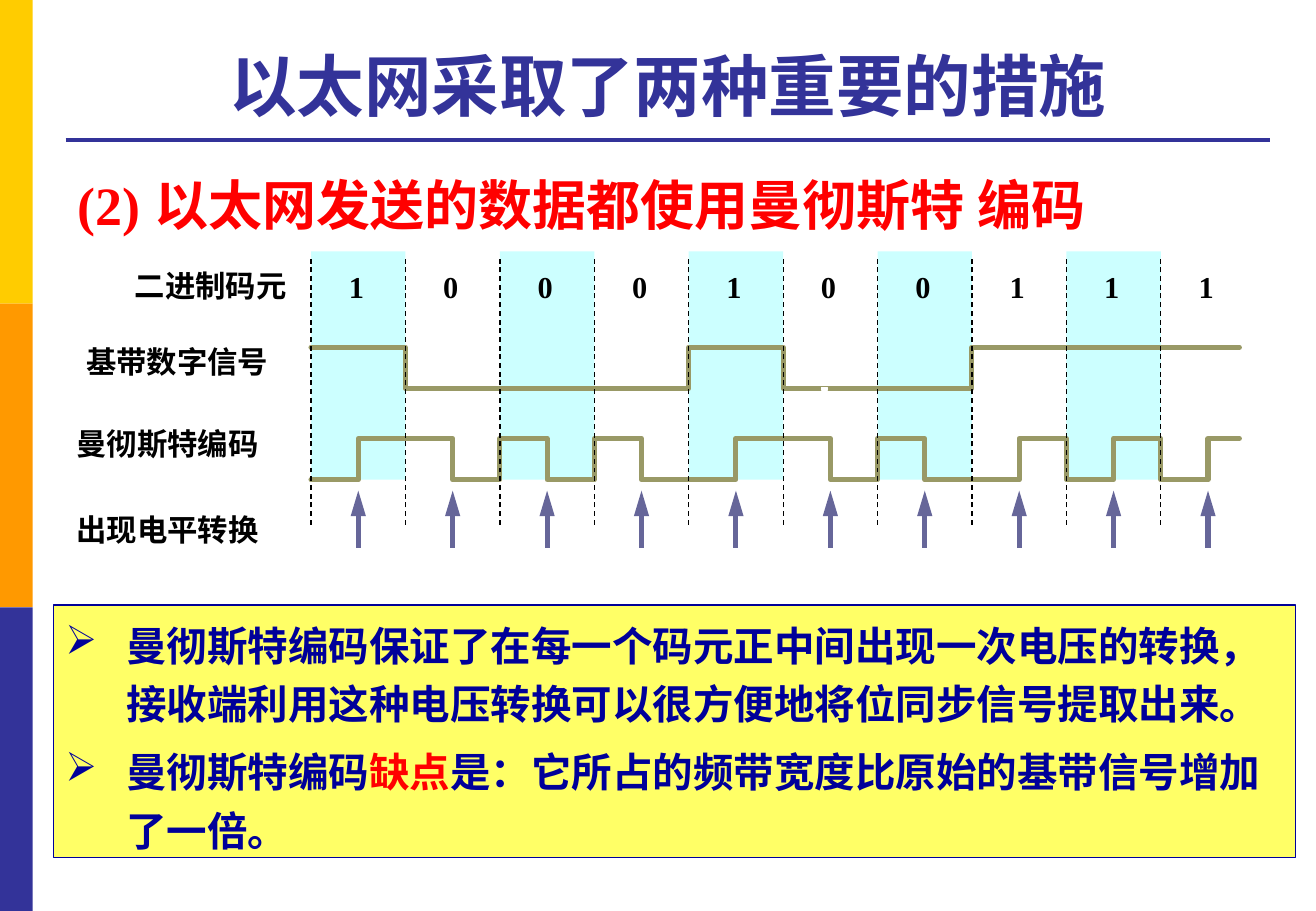
import lxml.etree
import pptx
import pptx.dml.color
import pptx.enum.dml
import pptx.enum.lang
import pptx.enum.shapes
import pptx.enum.text
import pptx.oxml.ns
import pptx.util

Inches = pptx.util.Inches
qn = pptx.oxml.ns.qn

NAVY, RED, BLACK, WHITE = "333399", "FF0000", "000000", "FFFFFF"
INK, SIGNAL = "000099", "999966"
LABEL_FORMAT = {"size": 18, "name": "Times New Roman", "color": BLACK}
BITS = "1000100111"
ROW_LABELS = [("二进制码元", 1.01, 2.15), ("基带数字信号", 0.61, 2.78),
              ("曼彻斯特编码", 0.53, 3.45), ("出现电平转换", 0.53, 4.16)]
NOTES = [
    [("曼彻斯特编码保证了在每一个码元正中间出现一次电压的转换，"
      "接收端利用这种电压转换可以很方便地将位同步信号提取出来。", INK)],
    [("曼彻斯特编码", INK), ("缺点", RED),
     ("是：它所占的频带宽度比原始的基带信号增加了一倍。", INK)],
]


def rgb(value):
    return pptx.dml.color.RGBColor.from_string(value)


def place(shape, left, top, width, height):
    box = {"left": left, "top": top, "width": width, "height": height}
    for name, value in box.items():
        setattr(shape, name, Inches(value))


def add_run(paragraph, text, size, name, color):
    run = paragraph.add_run()
    run.text = text
    values = {"size": pptx.util.Pt(size), "name": name, "bold": True,
              "language_id": pptx.enum.lang.MSO_LANGUAGE_ID.SIMPLIFIED_CHINESE}
    for attribute, value in values.items():
        setattr(run.font, attribute, value)
    run.font.color.rgb = rgb(color)


def set_bullet(paragraph, character=None, indent=0):
    properties = paragraph._p.get_or_add_pPr()
    properties.set("marL", str(Inches(indent)))
    properties.set("indent", str(-Inches(indent)))
    if character:
        bullet = lxml.etree.SubElement(properties, qn("a:buChar"))
        bullet.set("char", character)
    else:
        lxml.etree.SubElement(properties, qn("a:buNone"))


def add_rectangle(slide, left, top, width, height, fill, outline=None):
    shape = slide.shapes.add_shape(
        pptx.enum.shapes.MSO_SHAPE.RECTANGLE,
        Inches(left), Inches(top), Inches(width), Inches(height))
    shape.shadow.inherit = False
    shape.fill.solid()
    shape.fill.fore_color.rgb = rgb(fill)
    if outline:
        shape.line.color.rgb = rgb(outline)
        shape.line.width = pptx.util.Pt(0.75)
    else:
        shape.line.fill.background()
    return shape


def add_line(slide, start, end, color, width):
    line = slide.shapes.add_connector(
        pptx.enum.shapes.MSO_CONNECTOR.STRAIGHT,
        *(Inches(value) for value in (*start, *end)))
    line.line.color.rgb = rgb(color)
    line.line.width = pptx.util.Pt(width)
    lxml.etree.SubElement(line._element.spPr, qn("a:effectLst"))
    return line


def add_label(slide, text, left, top, width, centered=False):
    frame = slide.shapes.add_textbox(
        Inches(left), Inches(top), Inches(width), Inches(0.4)).text_frame
    frame.word_wrap = False
    paragraph = frame.paragraphs[0]
    align = pptx.enum.text.PP_ALIGN
    paragraph.alignment = align.CENTER if centered else align.LEFT
    add_run(paragraph, text, **LABEL_FORMAT)


def add_wave(slide, left, right, levels, step):
    """Draw a square wave that holds each level for one step."""
    points = []
    for index, level in enumerate(levels):
        start = left + index * step
        points += [(start, level), (min(start + step, right), level)]
    points = [(Inches(x), Inches(y)) for x, y in points]
    builder = slide.shapes.build_freeform(*points[0], scale=1.0)
    builder.add_line_segments(points[1:], close=False)
    wave = builder.convert_to_shape()
    wave.shadow.inherit = False
    wave.fill.background()
    wave.line.color.rgb = rgb(SIGNAL)
    wave.line.width = pptx.util.Pt(3)
    wave._element.spPr.find(qn("a:ln")).set("cap", "rnd")


def add_side_band(slide, left, top, width, height):
    for index, color in enumerate(("FFCC00", "FF9900", NAVY)):
        add_rectangle(slide, left, top + index * height / 3, width, height / 3, color)


def add_title(slide, left, top, width, height):
    title = slide.shapes.title
    place(title, left, top, width, height)
    title.text_frame.vertical_anchor = pptx.enum.text.MSO_ANCHOR.BOTTOM
    paragraph = title.text_frame.paragraphs[0]
    paragraph.alignment = pptx.enum.text.PP_ALIGN.CENTER
    add_run(paragraph, "以太网采取了两种重要的措施", 40, "Arial", NAVY)
    rule = top + height + 0.07
    add_line(slide, (left, rule), (left + width, rule), NAVY, 2.25)


def add_heading(slide, left, top, width, height):
    body = slide.placeholders[1]
    place(body, left, top, width, height)
    paragraph = body.text_frame.paragraphs[0]
    paragraph.line_spacing = 1.1
    paragraph.space_before = pptx.util.Pt(0)
    set_bullet(paragraph)
    add_run(paragraph, "(2) 以太网发送的数据都使用曼彻斯特 编码",
            32, "Times New Roman", RED)


def add_encoding_diagram(slide, left, top, width):
    """Draw the bits, both signals and the transition arrows, one column a bit."""
    step = width / len(BITS)
    edges = [left + index * step for index in range(len(BITS))]
    right = left + width - 0.13
    high, low = top + 0.79, top + 1.13
    coded_high, coded_low = top + 1.54, top + 1.88

    for edge in edges[::2]:
        add_rectangle(slide, edge, top, step, 1.88, "CCFFFF")
    for text, label_left, label_top in ROW_LABELS:
        add_label(slide, text, label_left, label_top, 1.73)
    for edge, bit in zip(edges, BITS):
        add_label(slide, bit, edge + step / 2 - 0.18, top + 0.09, 0.33, centered=True)

    baseband = [high if bit == "1" else low for bit in BITS]
    halves = {"1": (coded_low, coded_high), "0": (coded_high, coded_low)}
    manchester = [level for bit in BITS for level in halves[bit]]
    add_wave(slide, left, right, baseband, step)
    add_wave(slide, left, right, manchester, step / 2)
    for edge, before, after in zip(edges[1:], baseband, baseband[1:]):
        if before == after:
            add_line(slide, (edge, after + 0.01), (edge, after - 0.02), SIGNAL, 3)
    add_rectangle(slide, left + 4.2, low - 0.01, 0.05, 0.02, WHITE, WHITE)

    for edge in edges:
        divider = add_line(slide, (edge, top + 2.25), (edge, top + 0.05), BLACK, 0.75)
        divider.line.dash_style = pptx.enum.dml.MSO_LINE.DASH
        middle = edge + step / 2
        arrow = add_line(slide, (middle, top + 2.44), (middle, top + 1.97), "666699", 3)
        head = lxml.etree.SubElement(arrow._element.spPr.find(qn("a:ln")), qn("a:tailEnd"))
        for name, value in {"type": "triangle", "w": "med", "len": "lg"}.items():
            head.set(name, value)


def add_notes_box(slide, left, top, width, height):
    frame = add_rectangle(slide, left, top, width, height, "FFFF66", INK).text_frame
    frame.word_wrap = True
    frame.vertical_anchor = pptx.enum.text.MSO_ANCHOR.TOP
    for index, runs in enumerate(NOTES):
        paragraph = frame.add_paragraph() if index else frame.paragraphs[0]
        paragraph.alignment = pptx.enum.text.PP_ALIGN.LEFT
        paragraph.line_spacing = 1.2
        paragraph.space_before = pptx.util.Pt(6 if index else 0)
        set_bullet(paragraph, "➢", 0.5)
        for text, color in runs:
            add_run(paragraph, text, 24, "Arial", color)


def main():
    presentation = pptx.Presentation()
    presentation.slide_width = Inches(10.83)
    presentation.slide_height = Inches(7.5)
    slide = presentation.slides.add_slide(presentation.slide_layouts[1])
    add_side_band(slide, 0, 0, 0.27, 7.5)
    add_title(slide, 0.54, 0.21, 9.91, 0.87)
    add_heading(slide, 0.54, 1.31, 10.29, 0.76)
    add_encoding_diagram(slide, 2.56, 2.07, 7.77)
    add_notes_box(slide, 0.44, 4.98, 10.22, 2.08)
    presentation.save("out.pptx")


if __name__ == "__main__":
    main()
